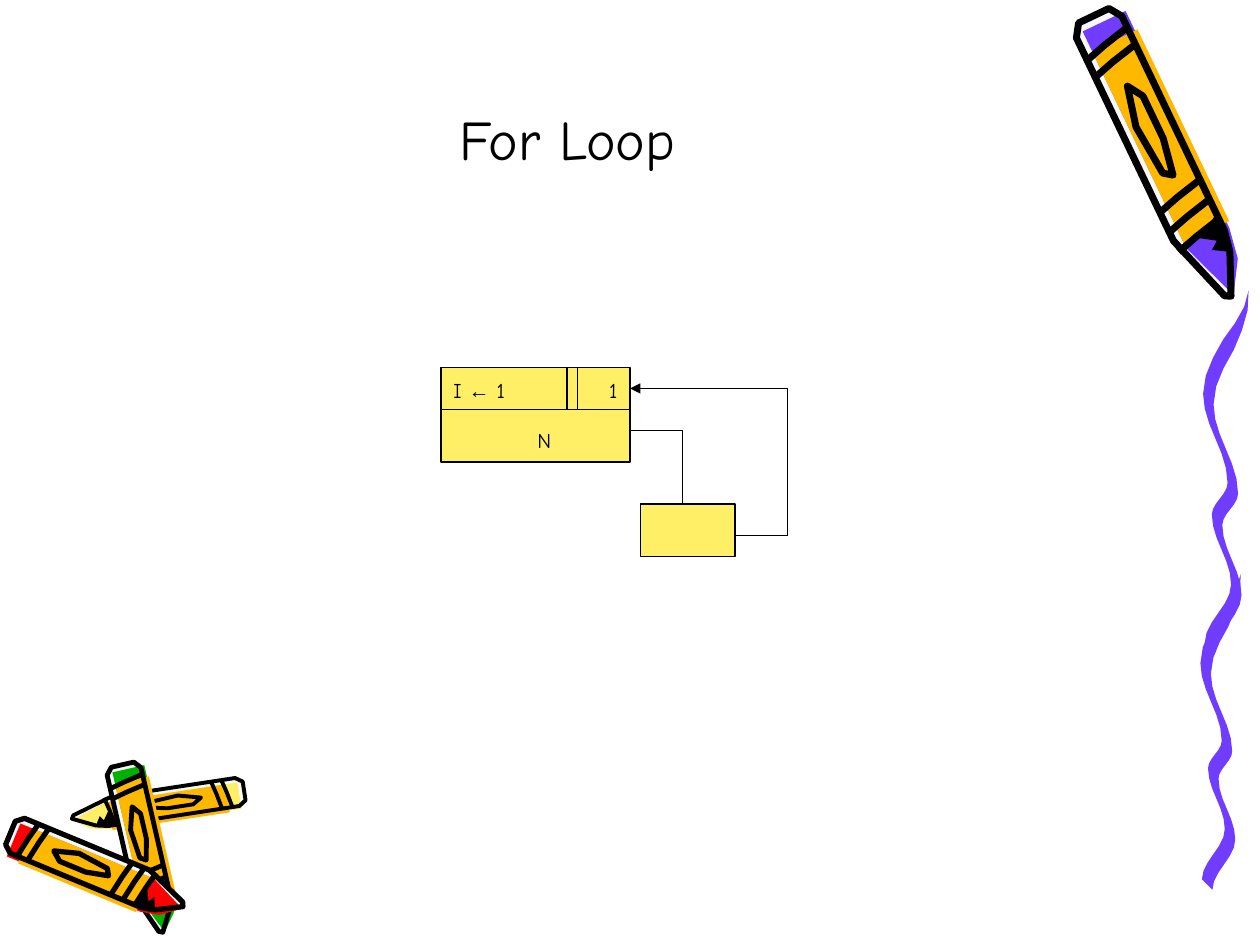
from dataclasses import dataclass
from itertools import pairwise
from math import cos, hypot, pi

from lxml.etree import SubElement
from pptx import Presentation
from pptx.dml.color import RGBColor
from pptx.enum.shapes import MSO_CONNECTOR, MSO_SHAPE
from pptx.enum.text import MSO_ANCHOR, MSO_AUTO_SIZE, PP_ALIGN
from pptx.oxml.ns import qn
from pptx.util import Pt

BLACK = RGBColor(0x00, 0x00, 0x00)
WHITE = RGBColor(0xF8, 0xF8, 0xF8)
PURPLE = RGBColor(0x70, 0x3D, 0xFF)
ORANGE = RGBColor(0xFF, 0xB8, 0x00)
YELLOW = RGBColor(0xFF, 0xEF, 0x66)
RED = RGBColor(0xFF, 0x00, 0x00)
GREEN = RGBColor(0x00, 0xB2, 0x00)
FONT = "Comic Neue"
ARROW_FONT = "Arial"

Point = tuple[float, float]


@dataclass
class Crayon:
    """A crayon from butt to tip; its colour spills over on the given side."""
    butt: Point
    tip: Point
    half_width: float
    wax: RGBColor
    spill_side: int = 1

    def place(self, along: float, across: float) -> Point:
        """Turn (0 butt to 1 tip, -1 to 1 edge to edge) into slide points."""
        dx, dy = self.tip[0] - self.butt[0], self.tip[1] - self.butt[1]
        offset = self.spill_side * across * self.half_width / hypot(dx, dy)
        return (self.butt[0] + along * dx + offset * dy,
                self.butt[1] + along * dy - offset * dx)


@dataclass
class Line:
    x1: float
    y1: float
    x2: float
    y2: float
    arrow: bool = False


@dataclass
class Box:
    kind: MSO_SHAPE
    left: float
    top: float
    width: float
    height: float


# Crayon parts as (along, across), shared by every crayon.
BARREL = [(0, -0.6), (0, 0.6), (0.04, 0.9), (0.8, 0.9), (0.87, 0.75),
          (1, 0.1), (0.99, -0.1), (0.79, -0.8), (0.76, -0.9), (0.04, -0.9)]
WAX = [(0.03, -0.6), (0.03, 1.1), (0.8, 1.1), (0.9, 0.9), (1, 0.2), (0.8, -0.6)]
SLEEVE = [(0.1, -0.6), (0.1, 1.2), (0.78, 1.2), (0.78, -0.6)]
TIP_SHADE = [(0.74, 0.9), (0.87, 0.75), (0.84, 0.2), (0.82, 0.5), (0.79, 0), (0.77, 0.4)]
LABEL = [(0.25, 0), (0.3, 0.35), (0.45, 0.35), (0.57, 0.1), (0.55, -0.2), (0.38, -0.35)]
BAND_POSITIONS = [0.1, 0.16, 0.64, 0.71, 0.78]
OUTLINE_WEIGHT = 0.25  # share of the half width

LARGE_CRAYON = Crayon((625, 9), (702, 170), 16, PURPLE)
CRAYON_PILE = [
    Crayon((139.5, 452), (41, 467), 9, YELLOW),
    Crayon((70, 437), (92, 533), 11, GREEN),
    Crayon((6, 476), (105, 517), 12, RED, spill_side=-1),
]

# Turning points of one squiggle stroke, measured from its start.
SQUIGGLE_BENDS = [(0, 0), (-23, 62), (-9, 113), (-18, 131), (-7, 171), (-22, 204)]
SQUIGGLE_STROKES = [((709, 328), 0.87), ((713.5, 166), 1)]  # start, scale
SQUIGGLE_HALF_WIDTH = 3
STEPS_PER_BEND = 6

LOOP_BOX = Box(MSO_SHAPE.FLOWCHART_PROCESS, 252, 210, 108, 54)
BODY_BOX = Box(MSO_SHAPE.RECTANGLE, 366, 288, 54, 30)
LOOP_DIVIDERS = [
    Line(252, 234, 360, 234),
    Line(324, 210, 324, 234),
    Line(330, 210, 330, 234),
]
FLOW_LINES = [
    Line(360, 246, 390, 246),
    Line(390, 246, 390, 288),
    Line(420, 306, 450, 306),
    Line(450, 306, 450, 222),
    Line(450, 222, 360, 222, arrow=True),
]


def paint(shape, fill: RGBColor | None, line_width: float = 0) -> None:
    shape.shadow.inherit = False
    if fill is None:
        shape.fill.background()
    else:
        shape.fill.solid()
        shape.fill.fore_color.rgb = fill
    if line_width:
        shape.line.color.rgb = BLACK
        shape.line.width = Pt(line_width)
    else:
        shape.line.fill.background()


def draw_polygon(shapes, points: list[Point], fill: RGBColor | None,
                 line_width: float = 0, close: bool = True) -> None:
    start, *corners = [(Pt(x), Pt(y)) for x, y in points]
    builder = shapes.build_freeform(*start)
    builder.add_line_segments(corners, close=close)
    paint(builder.convert_to_shape(), fill, line_width)


def draw_crayon(shapes, crayon: Crayon) -> None:
    group = shapes.add_group_shape().shapes
    weight = OUTLINE_WEIGHT * crayon.half_width
    bands = [[(position + 0.02, -0.9), (position, -0.1), (position - 0.02, 0.9)]
             for position in BAND_POSITIONS]

    def draw_part(part: list[Point], fill: RGBColor | None,
                  line_width: float = 0, close: bool = True) -> None:
        points = [crayon.place(*corner) for corner in part]
        draw_polygon(group, points, fill, line_width, close)

    draw_part(BARREL, WHITE)
    draw_part(WAX, crayon.wax)
    draw_part(SLEEVE, ORANGE)
    draw_part(TIP_SHADE, BLACK)
    for band in bands:
        draw_part(band, None, weight, close=False)
    draw_part(LABEL, None, weight)
    draw_part(BARREL, None, weight)


def draw_squiggle(shapes, start: Point, scale: float) -> None:
    """Ease between the bends with half cosine waves; the stroke thickens from a point."""
    centre = [SQUIGGLE_BENDS[0]]
    for (x1, y1), (x2, y2) in pairwise(SQUIGGLE_BENDS):
        for step in range(1, STEPS_PER_BEND + 1):
            share = step / STEPS_PER_BEND
            ease = (1 - cos(pi * share)) / 2
            centre.append((x1 + ease * (x2 - x1), y1 + share * (y2 - y1)))
    left_edge, right_edge = [], []
    for index, (x, y) in enumerate(centre):
        half = SQUIGGLE_HALF_WIDTH * min(1, index / STEPS_PER_BEND * 2)
        x, y = start[0] + scale * x, start[1] + scale * y
        left_edge.append((x - half, y - half))
        right_edge.append((x + half, y + half))
    draw_polygon(shapes, left_edge + right_edge[::-1], PURPLE)


def draw_line(shapes, line: Line) -> None:
    connector = shapes.add_connector(
        MSO_CONNECTOR.STRAIGHT, Pt(line.x1), Pt(line.y1), Pt(line.x2), Pt(line.y2))
    connector.line.color.rgb = BLACK
    connector.line.width = Pt(0.75)
    properties = connector._element.spPr
    if line.arrow:
        SubElement(properties.find(qn("a:ln")), qn("a:tailEnd"), type="triangle")
    SubElement(properties, qn("a:effectLst"))


def draw_box(shapes, box: Box):
    shape = shapes.add_shape(
        box.kind, Pt(box.left), Pt(box.top), Pt(box.width), Pt(box.height))
    paint(shape, YELLOW, 0.75)
    return shape


def format_loop_paragraph(paragraph, tab_position: float) -> None:
    paragraph.alignment = PP_ALIGN.LEFT
    tabs = SubElement(paragraph._p.get_or_add_pPr(), qn("a:tabLst"))
    SubElement(tabs, qn("a:tab"), pos=str(Pt(tab_position)), algn="l")
    paragraph.font.size = Pt(12)
    paragraph.font.color.rgb = BLACK


def write_loop_header(shape) -> None:
    frame = shape.text_frame
    frame.word_wrap = True
    frame.vertical_anchor = MSO_ANCHOR.MIDDLE
    frame.margin_right = 0
    header = frame.paragraphs[0]
    format_loop_paragraph(header, 89)
    for text, font in (("I ", FONT), ("←", ARROW_FONT), (" 1\t1", FONT)):
        run = header.add_run()
        run.text = text
        run.font.name = font
    limit = frame.add_paragraph()
    limit.text = "\tN"
    limit.space_before = Pt(14.3)
    format_loop_paragraph(limit, 48)
    limit.font.name = FONT


def write_title(title) -> None:
    title.left, title.top, title.width, title.height = Pt(54), Pt(12), Pt(540.5), Pt(90)
    frame = title.text_frame
    frame.text = "For Loop"
    frame.word_wrap = True
    frame.auto_size = MSO_AUTO_SIZE.NONE
    frame.vertical_anchor = MSO_ANCHOR.BOTTOM
    paragraph = frame.paragraphs[0]
    paragraph.alignment = PP_ALIGN.CENTER
    paragraph.font.name = FONT
    paragraph.font.size = Pt(32)
    paragraph.font.color.rgb = BLACK


presentation = Presentation()
presentation.slide_width, presentation.slide_height = Pt(720), Pt(540)
slide = presentation.slides.add_slide(presentation.slide_layouts[5])
write_title(slide.shapes.title)
for crayon in [LARGE_CRAYON, *CRAYON_PILE]:
    draw_crayon(slide.shapes, crayon)
for start, scale in SQUIGGLE_STROKES:
    draw_squiggle(slide.shapes, start, scale)
write_loop_header(draw_box(slide.shapes, LOOP_BOX))
draw_box(slide.shapes, BODY_BOX)
for line in LOOP_DIVIDERS + FLOW_LINES:
    draw_line(slide.shapes, line)
presentation.save("out.pptx")
